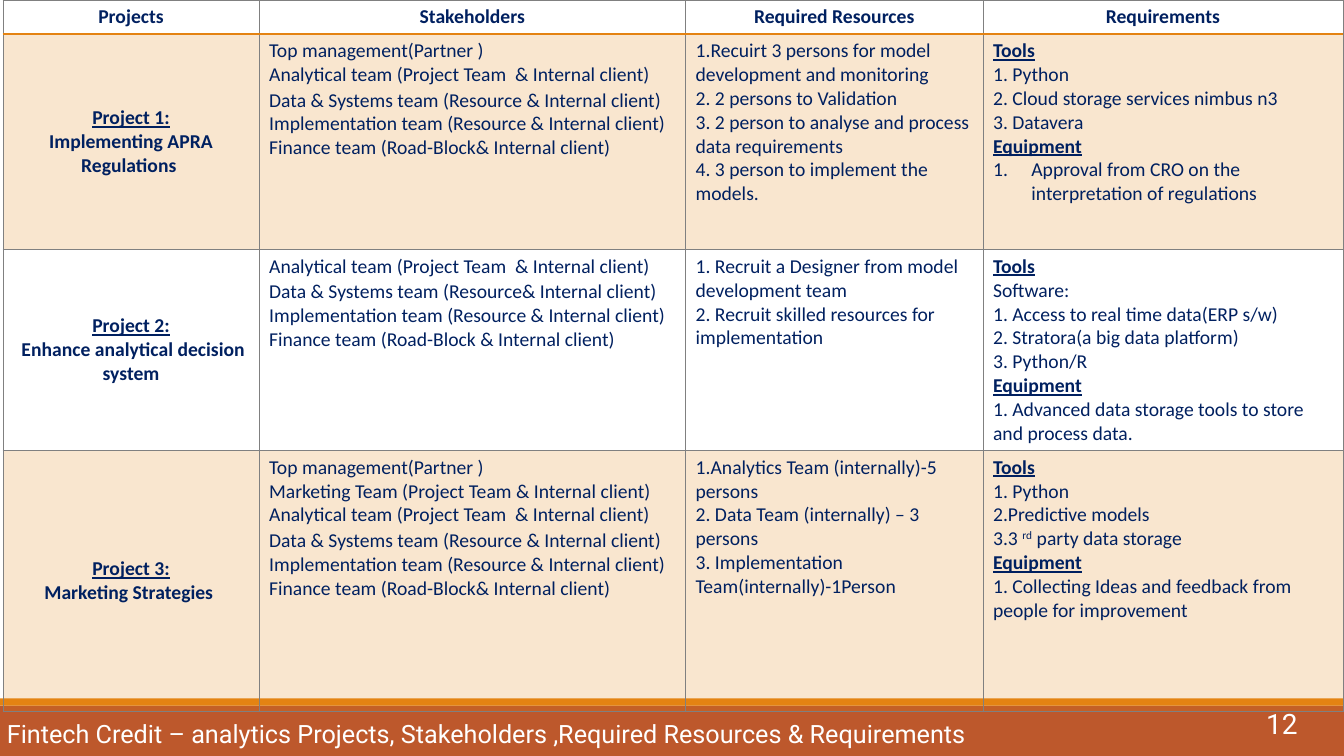
from lxml.etree import SubElement
from pptx import Presentation
from pptx.dml.color import RGBColor
from pptx.enum.shapes import MSO_SHAPE
from pptx.enum.text import MSO_ANCHOR, PP_ALIGN
from pptx.oxml.ns import qn
from pptx.util import Inches, Pt


def paint(fill, color):
    fill.solid()
    fill.fore_color.rgb = RGBColor.from_string(color)


def style(run, font, size, color, bold=False):
    run.font.name = font
    run.font.size = Pt(size)
    run.font.bold = bold
    paint(run.font.fill, color)


deck = Presentation()
deck.slide_width = Inches(13.33)
deck.slide_height = Inches(7.5)
slide = deck.slides.add_slide(deck.slide_layouts[6])
shapes = slide.shapes

for top, height, color in [(7, 0.5, "BD582C"), (6.93, 0.07, "E48312")]:
    bar = shapes.add_shape(MSO_SHAPE.RECTANGLE, 0, Inches(top), Inches(13.33), Inches(height))
    bar.shadow.inherit = False
    paint(bar.fill, color)
    bar.line.fill.background()

rows = [
    ["Projects", "Stakeholders", "Required Resources", "Requirements"],
    [
        "Project 1:\nImplementing APRA Regulations ",
        "Top management(Partner )\n"
        "Analytical team (Project Team  & Internal client)\n"
        "Data & Systems team (Resource & Internal client)\n"
        "Implementation team (Resource & Internal client)\n"
        "Finance team (Road-Block& Internal client)",
        "1.Recuirt 3 persons for model development and monitoring\n"
        "2. 2 persons to Validation\n"
        "3. 2 person to analyse and process data requirements\n"
        "4. 3 person to implement the models.",
        "Tools\n1. Python\n2. Cloud storage services nimbus n3\n3. Datavera\n"
        "Equipment\nApproval from CRO on the interpretation of regulations",
    ],
    [
        "Project 2:\n Enhance analytical decision system",
        "Analytical team (Project Team  & Internal client)\n"
        "Data & Systems team (Resource& Internal client)\n"
        "Implementation team (Resource & Internal client)\n"
        "Finance team (Road-Block & Internal client)",
        "1. Recruit a Designer from model development team\n"
        "2. Recruit skilled resources for  implementation",
        "Tools\nSoftware:\n1. Access to real time data(ERP s/w)\n"
        "2. Stratora(a big data platform)\n3. Python/R\n"
        "Equipment\n1. Advanced data storage tools to store and process data.",
    ],
    [
        "Project 3:\nMarketing Strategies ",
        "Top management(Partner )\n"
        "Marketing Team (Project Team & Internal client)\n"
        "Analytical team (Project Team  & Internal client)\n"
        "Data & Systems team (Resource & Internal client)\n"
        "Implementation team (Resource & Internal client)\n"
        "Finance team (Road-Block& Internal client)",
        "1.Analytics Team (internally)-5 persons\n"
        "2. Data Team (internally) – 3 persons\n"
        "3. Implementation Team(internally)-1Person",
        "Tools\n1. Python\n2.Predictive models\n3.3 ^rd^ party data storage\n"
        "Equipment\n1. Collecting Ideas and feedback from people for improvement",
    ],
]

table = shapes.add_table(4, 4, Inches(0.03), 0, Inches(13.3), Inches(6.97)).table
table.first_row = False
table.horz_banding = False
for col, width in zip(table.columns, [2.54, 4.23, 2.95, 3.57]):
    col.width = Inches(width)
for row, height in zip(table.rows, [0.32, 2.14, 1.92, 2.59]):
    row.height = Inches(height)

for r, row in enumerate(rows):
    for c, text in enumerate(row):
        cell = table.cell(r, c)
        props = cell._tc.get_or_add_tcPr()
        for side in ["lnL", "lnR", "lnT", "lnB"]:
            rule = (r, side) in [(0, "lnB"), (1, "lnT")]
            line = SubElement(props, qn("a:" + side), w=str(Pt(2 if rule else 0.5)))
            ink = SubElement(line, qn("a:solidFill"))
            SubElement(ink, qn("a:srgbClr"), val="E48312" if rule else "808080")
        if r % 2:
            paint(cell.fill, "E48312")
            tint = props.find(qn("a:solidFill")).find(qn("a:srgbClr"))
            SubElement(tint, qn("a:alpha"), val="20000")
        else:
            cell.fill.background()
        if r and c == 0:
            cell.vertical_anchor = MSO_ANCHOR.MIDDLE
        cell.text_frame.text = text.split("\n")[0]
        for extra in text.split("\n")[1:]:
            cell.text_frame.add_paragraph().text = extra
        for para in cell.text_frame.paragraphs:
            words = para.text
            if r == 0 or c == 0:
                para.alignment = PP_ALIGN.CENTER
            if words.startswith("Data & Systems"):
                para.line_spacing = 1.07
            if words.startswith("Approval"):
                indent = para._p.get_or_add_pPr()
                indent.set("marL", str(Inches(0.38)))
                indent.set("indent", str(Inches(-0.38)))
                SubElement(indent, qn("a:buAutoNum"), type="arabicPeriod")
            if "^" in words:
                parts = words.split("^")
                para.runs[0].text = parts[0]
                for part in parts[1:]:
                    para.add_run().text = part
                para.runs[1]._r.get_or_add_rPr().set("baseline", "30000")
            head = words in ["Tools", "Equipment"]
            for run in para.runs:
                style(run, "Calibri", 14, "002060", r == 0 or c == 0 or head)
                run.font.underline = head or words.startswith("Project ")

title = "Fintech Credit – analytics Projects, Stakeholders ,Required Resources & Requirements"
for text, left, top, width, height, size, align in [
    (title, -0.03, 7.05, 12.35, 0.45, 18, PP_ALIGN.LEFT),
    ("12", 9.97, 6.98, 3, 0.4, 20, PP_ALIGN.RIGHT),
]:
    box = shapes.add_textbox(Inches(left), Inches(top), Inches(width), Inches(height))
    frame = box.text_frame
    frame.word_wrap = True
    frame.vertical_anchor = MSO_ANCHOR.MIDDLE
    frame.text = text
    frame.paragraphs[0].alignment = align
    style(frame.paragraphs[0].runs[0], "Roboto", size, "FFFFFF")

deck.save("out.pptx")
